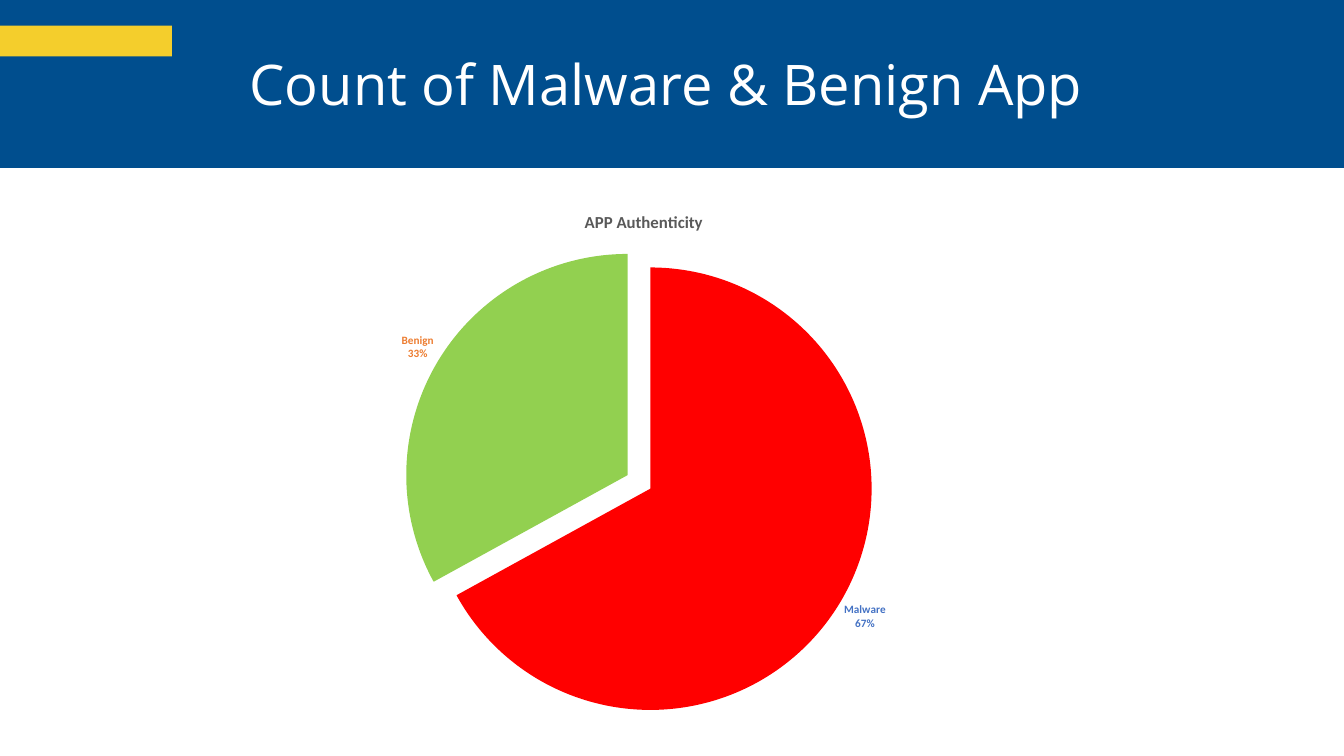
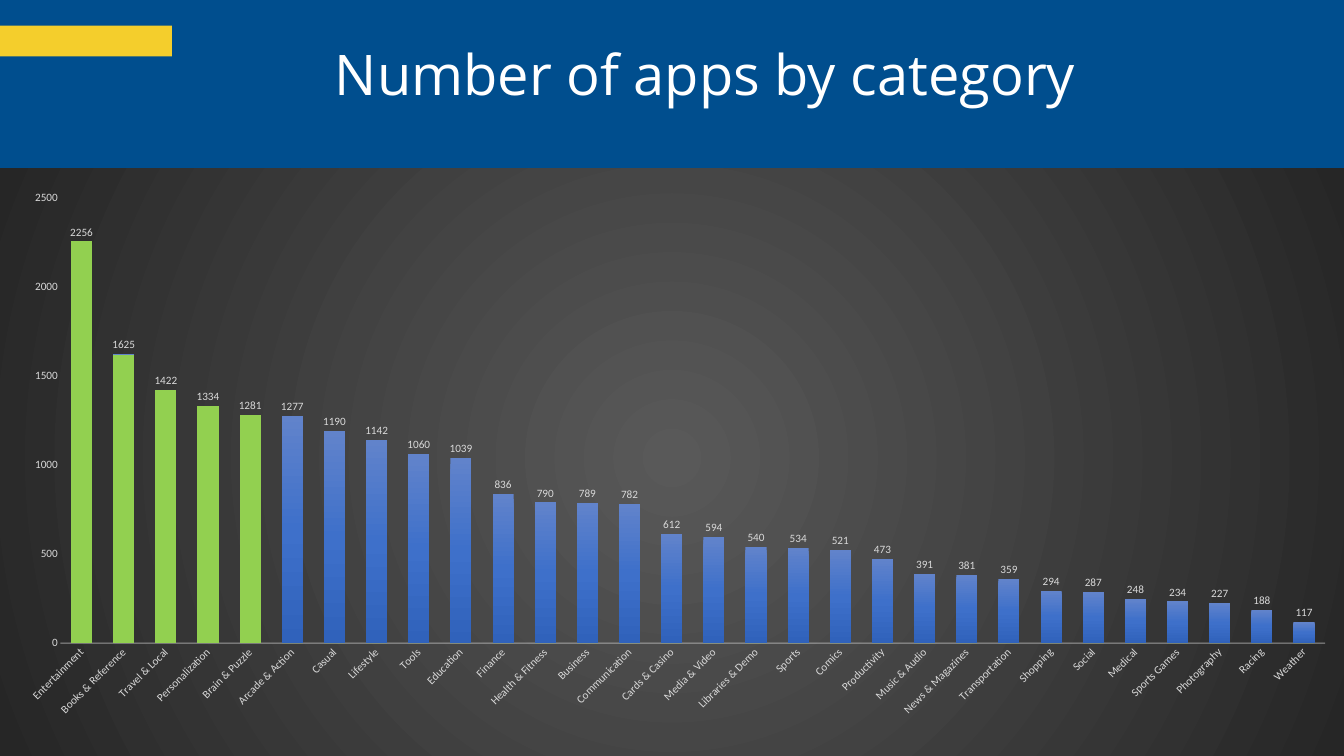
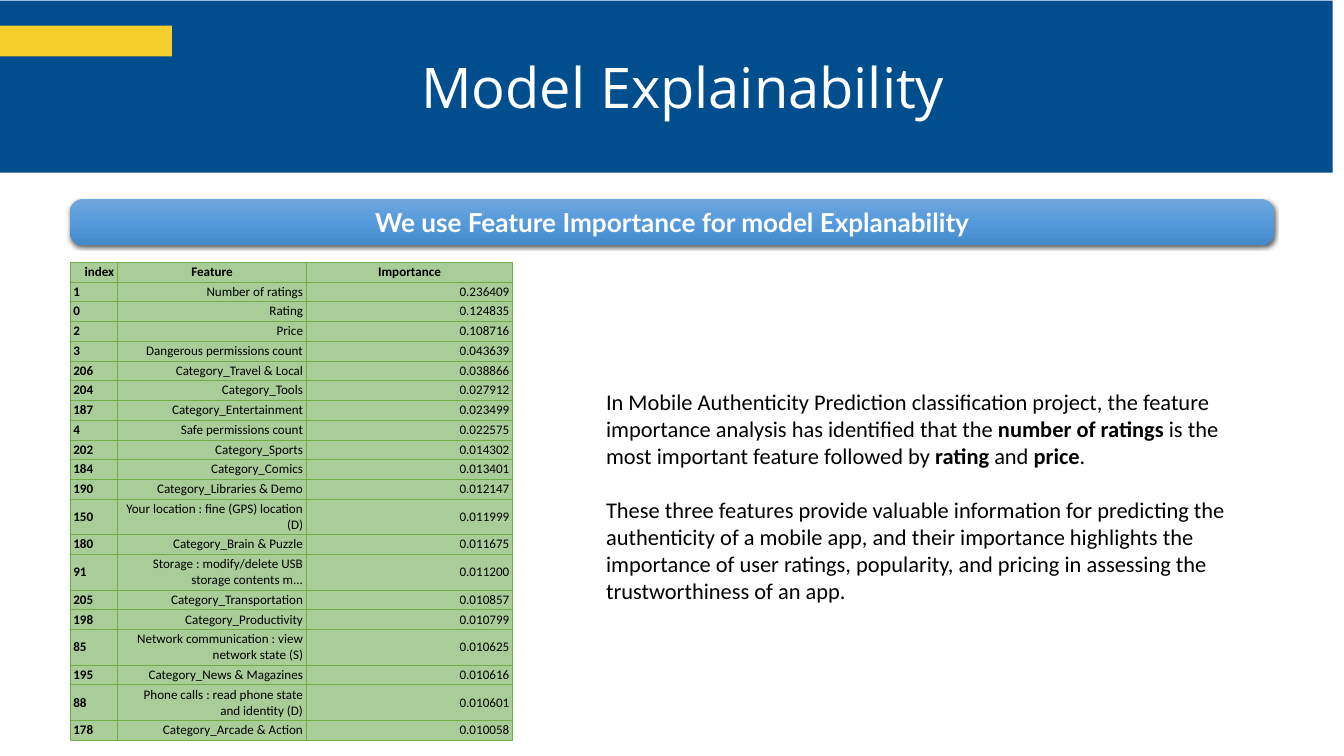
import pptx
import pptx.chart.data
import pptx.dml.color
import pptx.enum.chart
import pptx.enum.shapes
import pptx.enum.text
import pptx.oxml
import pptx.oxml.ns
import pptx.util

Inches = pptx.util.Inches
Pt = pptx.util.Pt
ALIGN = pptx.enum.text.PP_ALIGN
MIDDLE = pptx.enum.text.MSO_ANCHOR.MIDDLE
SHAPE = pptx.enum.shapes.MSO_SHAPE
CHART = pptx.enum.chart.XL_CHART_TYPE
OUTSIDE = pptx.enum.chart.XL_LABEL_POSITION.OUTSIDE_END
NO_TICK = pptx.enum.chart.XL_TICK_MARK.NONE
XMLNS = pptx.oxml.ns.nsdecls("a", "c")

NAVY = "004E8E"
YELLOW = "F4CE2C"
WHITE = "FFFFFF"
BLACK = "000000"
RED = "FF0000"
GREEN = "92D050"
PALE_GRAY = "D9D9D9"
TABLE_FILL = "A9CD98"
TABLE_BORDER = "70AD47"


def paint(fill, color):
    fill.solid()
    fill.fore_color.rgb = pptx.dml.color.RGBColor.from_string(color)


def write(frame, text, size, color=BLACK, font="Calibri", bold=False,
          align=ALIGN.LEFT, spacing=None, before=0):
    frame.word_wrap = True
    for number, line in enumerate(text.split("\n")):
        paragraph = frame.add_paragraph() if number else frame.paragraphs[0]
        paragraph.alignment = align
        if spacing:
            paragraph.line_spacing = Pt(spacing)
        if number:
            paragraph.space_before = Pt(before)
        for position, piece in enumerate(line.split("*")):
            if piece:
                run = paragraph.add_run()
                run.text = piece
                run.font.size = Pt(size)
                run.font.name = font
                run.font.bold = bold or position % 2 == 1
                paint(run.font.fill, color)


deck = pptx.Presentation()
deck.slide_width = Inches(20)
deck.slide_height = Inches(11.25)
authenticity, categories, explainability = [
    deck.slides.add_slide(deck.slide_layouts[6]) for _ in range(3)]

app_shares = pptx.chart.data.CategoryChartData()
app_shares.categories = ["Malware", "Benign"]
app_shares.add_series("Series 1", [67, 33])
pie = authenticity.shapes.add_chart(
    CHART.PIE, Inches(3.33), Inches(2.88), Inches(12.5), Inches(7.92), app_shares).chart
pie.font.size = Pt(10)
pie.font.name = "Calibri"
pie.has_legend = False
pie.has_title = True
write(pie.chart_title.text_frame, "APP Authenticity", 18, "595959", bold=True, align=ALIGN.CENTER)
pie.plots[0].vary_by_categories = True
shares = pie.plots[0].series[0]
for number, (slice_color, label_color) in enumerate([(RED, "4472C4"), (GREEN, "ED7D31")]):
    point = shares.points[number]
    paint(point.format.fill, slice_color)
    label = point.data_label
    label.font.size = Pt(12)
    label.font.name = "Calibri"
    label.font.bold = True
    paint(label.font.fill, label_color)
    label.position = OUTSIDE
for label in pie.element.xpath("//c:dLbl"):
    for flag, shown in [("showVal", "0"), ("showCatName", "1"), ("showPercent", "1")]:
        label.find(pptx.oxml.ns.qn("c:" + flag)).set("val", shown)
    label.append(pptx.oxml.parse_xml(f"<c:separator {XMLNS}>\n</c:separator>"))
pie.element.xpath("//c:dPt")[0].addprevious(
    pptx.oxml.parse_xml(f'<c:explosion {XMLNS} val="6"/>'))

app_counts = {
    "Entertainment": 2256, "Books & Reference": 1625, "Travel & Local": 1422,
    "Personalization": 1334, "Brain & Puzzle": 1281, "Arcade & Action": 1277,
    "Casual": 1190, "Lifestyle": 1142, "Tools": 1060, "Education": 1039,
    "Finance": 836, "Health & Fitness": 790, "Business": 789, "Communication": 782,
    "Cards & Casino": 612, "Media & Video": 594, "Libraries & Demo": 540,
    "Sports": 534, "Comics": 521, "Productivity": 473, "Music & Audio": 391,
    "News & Magazines": 381, "Transportation": 359, "Shopping": 294, "Social": 287,
    "Medical": 248, "Sports Games": 234, "Photography": 227, "Racing": 188, "Weather": 117,
}
top_five = [2260, 1620, 1420, 1330, 1280]
count_data = pptx.chart.data.CategoryChartData()
count_data.categories = list(app_counts)
count_data.add_series("Series 1", list(app_counts.values()))
count_data.add_series("Series 2", top_five + [0] * (len(app_counts) - len(top_five)))
columns = categories.shapes.add_chart(
    CHART.COLUMN_CLUSTERED, 0, Inches(2.37), Inches(20), Inches(8.89), count_data).chart
columns.has_legend = False
columns.has_title = False
columns.font.size = Pt(10)
columns.font.name = "Calibri"
bars = columns.plots[0]
bars.gap_width = 100
bars.overlap = 100
bars.vary_by_categories = False
all_apps, leaders = bars.series
all_apps.format.fill.gradient()
paint(leaders.format.fill, GREEN)
count_labels = all_apps.data_labels
count_labels.show_value = True
count_labels.position = OUTSIDE
for axis in (columns.category_axis, columns.value_axis):
    axis.major_tick_mark = NO_TICK
    axis.minor_tick_mark = NO_TICK
    axis.has_major_gridlines = False
for text in (count_labels, columns.category_axis.tick_labels, columns.value_axis.tick_labels):
    text.font.size = Pt(12)
    text.font.name = "Calibri"
    paint(text.font.fill, PALE_GRAY)
columns.value_axis.minimum_scale = 0
columns.value_axis.maximum_scale = 2500
columns.value_axis.major_unit = 500
columns.value_axis.format.line.fill.background()
baseline = columns.category_axis.format.line
baseline.width = Pt(1)
paint(baseline.fill, "F2F2F2")
chart_space = columns.element
chart_space.xpath("//c:catAx/c:spPr//a:srgbClr")[0].append(
    pptx.oxml.parse_xml(f'<a:alpha {XMLNS} val="54000"/>'))
chart_space.xpath("//c:catAx/c:txPr/a:bodyPr")[0].set("rot", "-2700000")
plot_area = chart_space.xpath("//c:plotArea")[0]
for automatic in plot_area.xpath("./c:layout"):
    plot_area.remove(automatic)
plot_area.insert(0, pptx.oxml.parse_xml(
    f'<c:layout {XMLNS}><c:manualLayout><c:layoutTarget val="inner"/>'
    '<c:xMode val="edge"/><c:yMode val="edge"/><c:x val="0.045"/><c:y val="0.065"/>'
    '<c:w val="0.941"/><c:h val="0.745"/></c:manualLayout></c:layout>'))
backdrop = pptx.oxml.parse_xml(f"<c:spPr {XMLNS}><a:gradFill/><a:ln><a:noFill/></a:ln></c:spPr>")
chart_space.xpath("./c:chart")[0].addnext(backdrop)

method = explainability.shapes.add_shape(
    SHAPE.ROUNDED_RECTANGLE, Inches(1.04), Inches(2.96), Inches(17.92), Inches(0.69))
method.adjustments[0] = 0.29
method.fill.gradient()
method.line.fill.background()
method.shadow.inherit = False
method.element.xpath("./p:spPr/a:effectLst")[0].append(pptx.oxml.parse_xml(
    f'<a:outerShdw {XMLNS} blurRad="57150" dist="19050" dir="5400000" algn="ctr" rotWithShape="0">'
    '<a:srgbClr val="000000"><a:alpha val="63000"/></a:srgbClr></a:outerShdw>'))
method.text_frame.vertical_anchor = MIDDLE
write(method.text_frame, "We use Feature Importance for model Explanability", 28, WHITE,
      font="Lato", bold=True, align=ALIGN.CENTER)

downward = '<a:lin ang="5400000" scaled="0"/>'
outward = '<a:path path="circle"><a:fillToRect l="50000" t="50000" r="50000" b="50000"/></a:path>'
for gradient, stops, direction in [
    (backdrop.xpath("./a:gradFill")[0], ["595959", "262626"], outward),
    (chart_space.xpath("//c:ser/c:spPr/a:gradFill")[0], ["6183CB", "3E70CA", "3062BB"], downward),
    (method.element.xpath("./p:spPr/a:gradFill")[0], ["71A6DB", "559BDB", "448ACA"], downward),
]:
    step = 100000 // (len(stops) - 1)
    stop_list = "".join(f'<a:gs pos="{step * number}"><a:srgbClr val="{color}"/></a:gs>'
                        for number, color in enumerate(stops))
    gradient.getparent().replace(gradient, pptx.oxml.parse_xml(
        f'<a:gradFill {XMLNS} rotWithShape="1"><a:gsLst>{stop_list}</a:gsLst>{direction}</a:gradFill>'))

features = [
    ("index", "Feature", "Importance"),
    ("1", "Number of ratings", "0.236409"),
    ("0", "Rating", "0.124835"),
    ("2", "Price", "0.108716"),
    ("3", "Dangerous permissions count", "0.043639"),
    ("206", "Category_Travel & Local", "0.038866"),
    ("204", "Category_Tools", "0.027912"),
    ("187", "Category_Entertainment", "0.023499"),
    ("4", "Safe permissions count", "0.022575"),
    ("202", "Category_Sports", "0.014302"),
    ("184", "Category_Comics", "0.013401"),
    ("190", "Category_Libraries & Demo", "0.012147"),
    ("150", "Your location : fine (GPS) location (D)", "0.011999"),
    ("180", "Category_Brain & Puzzle", "0.011675"),
    ("91", "Storage : modify/delete USB storage contents m...", "0.011200"),
    ("205", "Category_Transportation", "0.010857"),
    ("198", "Category_Productivity", "0.010799"),
    ("85", "Network communication : view network state (S)", "0.010625"),
    ("195", "Category_News & Magazines", "0.010616"),
    ("88", "Phone calls : read phone state and identity (D)", "0.010601"),
    ("178", "Category_Arcade & Action", "0.010058"),
]
importance = explainability.shapes.add_table(
    len(features), 3, Inches(1.04), Inches(3.9), Inches(6.6), Inches(7.14)).table
importance.first_row = False
importance.horz_banding = False
for column, width in zip(importance.columns, [0.71, 2.81, 3.07]):
    column.width = Inches(width)
header_aligns = [ALIGN.RIGHT, ALIGN.CENTER, ALIGN.CENTER]
value_aligns = [ALIGN.LEFT, ALIGN.RIGHT, ALIGN.RIGHT]
for row, feature in enumerate(features):
    importance.rows[row].height = Inches(0.53 if len(feature[1]) > 30 else 0.29)
    aligns = value_aligns if row else header_aligns
    for column, value in enumerate(feature):
        cell = importance.cell(row, column)
        cell.margin_left = cell.margin_right = Inches(0.05)
        cell.margin_top = cell.margin_bottom = Inches(0.03)
        cell.vertical_anchor = MIDDLE
        properties = cell._tc.get_or_add_tcPr()
        for side in "LRTB":
            properties.append(pptx.oxml.parse_xml(
                f'<a:ln{side} {XMLNS} w="6350"><a:solidFill><a:srgbClr val="{TABLE_BORDER}"/>'
                f"</a:solidFill></a:ln{side}>"))
        paint(cell.fill, TABLE_FILL)
        write(cell.text_frame, value, 14, bold=row == 0 or column == 0, align=aligns[column])

findings = explainability.shapes.add_textbox(Inches(8.92), Inches(5.73), Inches(9.42), Inches(3.74))
write(findings.text_frame,
      "In Mobile Authenticity Prediction classification project, the feature importance analysis "
      "has identified that the *number of ratings* is the most important feature followed by "
      "*rating* and *price*.\n"
      "These three features provide valuable information for predicting the authenticity of a "
      "mobile app, and their importance highlights the importance of user ratings, popularity, "
      "and pricing in assessing the trustworthiness of an app.", 24, before=29)

for slide, title, title_box, band_corner, margin, spacing in [
    (authenticity, "Count of Malware & Benign App", (1.08, 0.77, 17.67, 0.99), (0, -0.06), 0, 69.6),
    (categories, "Number of apps by category", (2.83, 0.54, 15.33, 1.11), (0, -0.06), 0.05, None),
    (explainability, "Model Explainability", (2.33, 0.73, 15.67, 1.11), (-0.17, 0.01), 0.05, None),
]:
    for color, box in [(NAVY, (*band_corner, 20, 2.56)), (YELLOW, (-0.02, 0.38, 2.58, 0.46))]:
        band = slide.shapes.add_shape(SHAPE.RECTANGLE, *map(Inches, box))
        band.shadow.inherit = False
        band.line.fill.background()
        paint(band.fill, color)
    heading = slide.shapes.add_textbox(*map(Inches, title_box)).text_frame
    heading.margin_top = heading.margin_bottom = Inches(margin)
    heading.margin_left = heading.margin_right = Inches(2 * margin)
    write(heading, title, 60, WHITE, font="Open Sans", align=ALIGN.CENTER, spacing=spacing)

deck.save("out.pptx")
